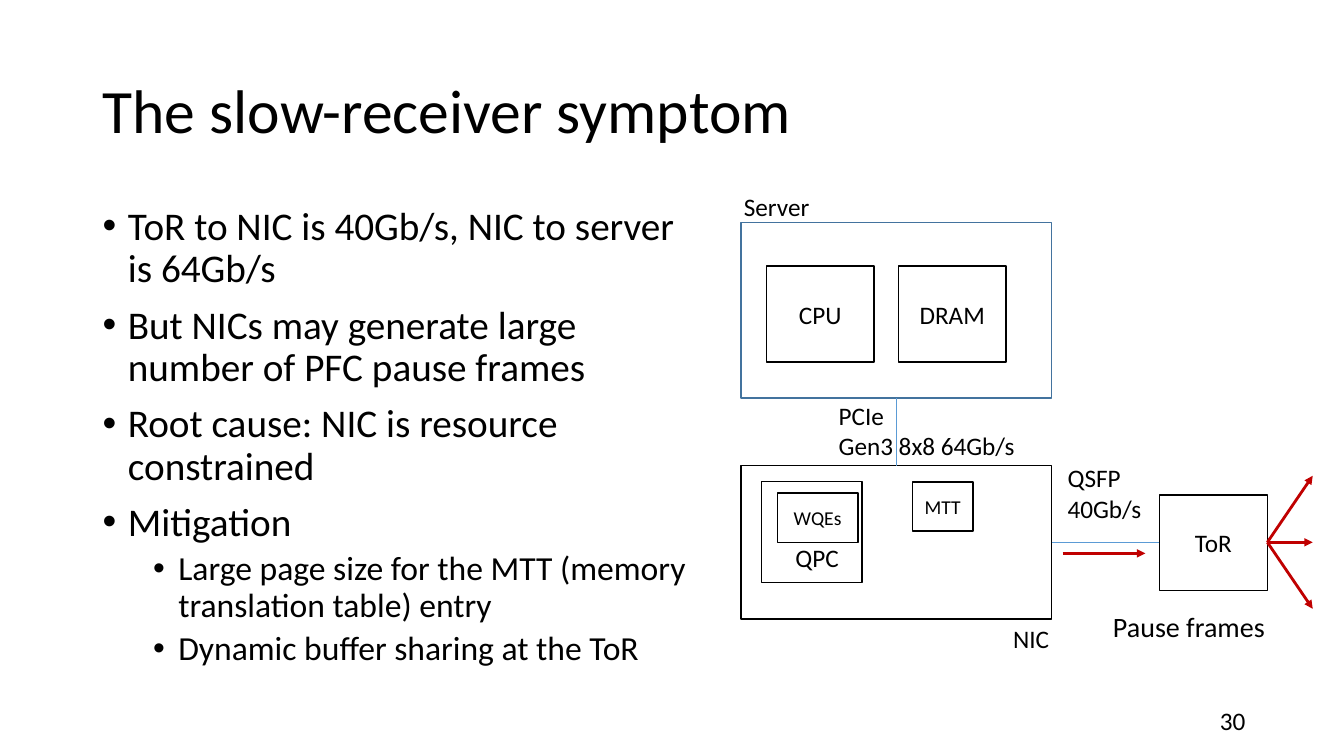
from pptx import Presentation
from pptx.dml.color import RGBColor as RGB
from pptx.enum.shapes import MSO_CONNECTOR as Conn, MSO_SHAPE as Shape
from pptx.enum.text import MSO_ANCHOR as Anchor, PP_ALIGN as Align
from pptx.oxml.ns import qn
from pptx.util import Pt
from lxml.etree import SubElement as Sub

PX = 9144
THEME = {
    "font": "Calibri",
    "ink": RGB.from_string("000000"),
    "paper": RGB.from_string("FFFFFF"),
    "frame": RGB.from_string("43739E"),
    "link": RGB.from_string("5B9BD5"),
    "pause": RGB.from_string("C00000"),
    "title": Pt(44),
    "body": Pt(28),
    "sub": Pt(24),
    "note": Pt(20),
    "label": Pt(18),
    "small": Pt(14),
}

deck = Presentation()
deck.slide_width, deck.slide_height = 1333 * PX, 750 * PX
slide = deck.slides.add_slide(deck.slide_layouts[6])
shapes = slide.shapes


def write(frame, lines, size, align=Align.LEFT):
    for i, line in enumerate(lines):
        para = frame.paragraphs[0] if i == 0 else frame.add_paragraph()
        para.text = line
        para.alignment = align
        para.font.name = THEME["font"]
        para.font.size = THEME[size]
        para.font.color.rgb = THEME["ink"]


def join(start, end, color, width):
    line = shapes.add_connector(Conn.STRAIGHT, *[n * PX for n in start + end])
    line.line.color.rgb = THEME[color]
    line.line.width = Pt(width)
    Sub(line._element.spPr, qn("a:effectLst"))
    return line


title = shapes.add_textbox(92 * PX, 40 * PX, 1150 * PX, 145 * PX).text_frame
title.word_wrap = True
title.vertical_anchor = Anchor.MIDDLE
write(title, ["The slow-receiver symptom"], "title")
title.paragraphs[0].line_spacing = 0.9

points = [
    (0, "ToR to NIC is 40Gb/s, NIC to server is 64Gb/s"),
    (0, "But NICs may generate large number of PFC pause frames"),
    (0, "Root cause: NIC is resource constrained"),
    (0, "Mitigation"),
    (1, "Large page size for the MTT (memory translation table) entry"),
    (1, "Dynamic buffer sharing at the ToR"),
]
body = shapes.add_textbox(92 * PX, 200 * PX, 611 * PX, 476 * PX).text_frame
body.word_wrap = True
write(body, [text for _, text in points], "body")
for para, (level, _) in zip(body.paragraphs, points):
    para.level = level
    para.line_spacing = 0.9
    para.space_before = Pt(5 if level else 10)
    para.font.size = THEME["sub" if level else "body"]
    props = para._p.get_or_add_pPr()
    props.set("marL", str((25 + 50 * level) * PX))
    props.set("indent", str(-25 * PX))
    Sub(props, qn("a:buFont"), typeface="Arial")
    Sub(props, qn("a:buChar"), char="•")

boxes = [
    ("", 735, 221, 308, 174, "frame", "label"),
    ("CPU", 760, 264, 107, 95, "ink", "label"),
    ("DRAM", 891, 264, 107, 95, "ink", "label"),
    ("", 735, 462, 308, 152, "ink", "label"),
    ("ToR", 1150, 491, 107, 95, "ink", "label"),
    ("MTT", 905, 478, 60, 49, "ink", "small"),
    ("", 755, 478, 100, 100, "ink", "label"),
    ("WQEs", 771, 489, 80, 49, "ink", "small"),
]
for text, x, y, w, h, edge, size in boxes:
    box = shapes.add_shape(Shape.RECTANGLE, x * PX, y * PX, w * PX, h * PX)
    box.shadow.inherit = False
    box.fill.solid()
    box.fill.fore_color.rgb = THEME["paper"]
    box.line.color.rgb = THEME[edge]
    box.line.width = Pt(1)
    if text:
        box.text_frame.vertical_anchor = Anchor.MIDDLE
        write(box.text_frame, [text], size, Align.CENTER)

join((1043, 538), (1150, 538), "link", 0.5)
join((889, 462), (889, 395), "link", 0.5)

port = (1257, 538)
arrows = [((1054, 549), (1136, 549))]
arrows += [(port, (1302, y)) for y in (472, 538, 604)]
for start, end in arrows:
    arrow = join(start, end, "pause", 2)
    Sub(arrow.line._get_or_add_ln(), qn("a:tailEnd"), type="triangle")

labels = [
    (["Server"], 728, 185, 86, 40, "label"),
    (["PCIe", "Gen3 8x8 64Gb/s"], 822, 392, 197, 71, "label"),
    (["QSFP", "40Gb/s"], 1049, 454, 94, 71, "label"),
    (["QPC"], 779, 533, 64, 40, "label"),
    (["NIC"], 995, 613, 56, 40, "label"),
    (["Pause frames"], 1094, 600, 173, 44, "note"),
    (["30"], 1200, 695, 50, 40, "label"),
]
for lines, x, y, w, h, size in labels:
    label = shapes.add_textbox(x * PX, y * PX, w * PX, h * PX).text_frame
    label.word_wrap = False
    write(label, lines, size)

deck.save("out.pptx")
